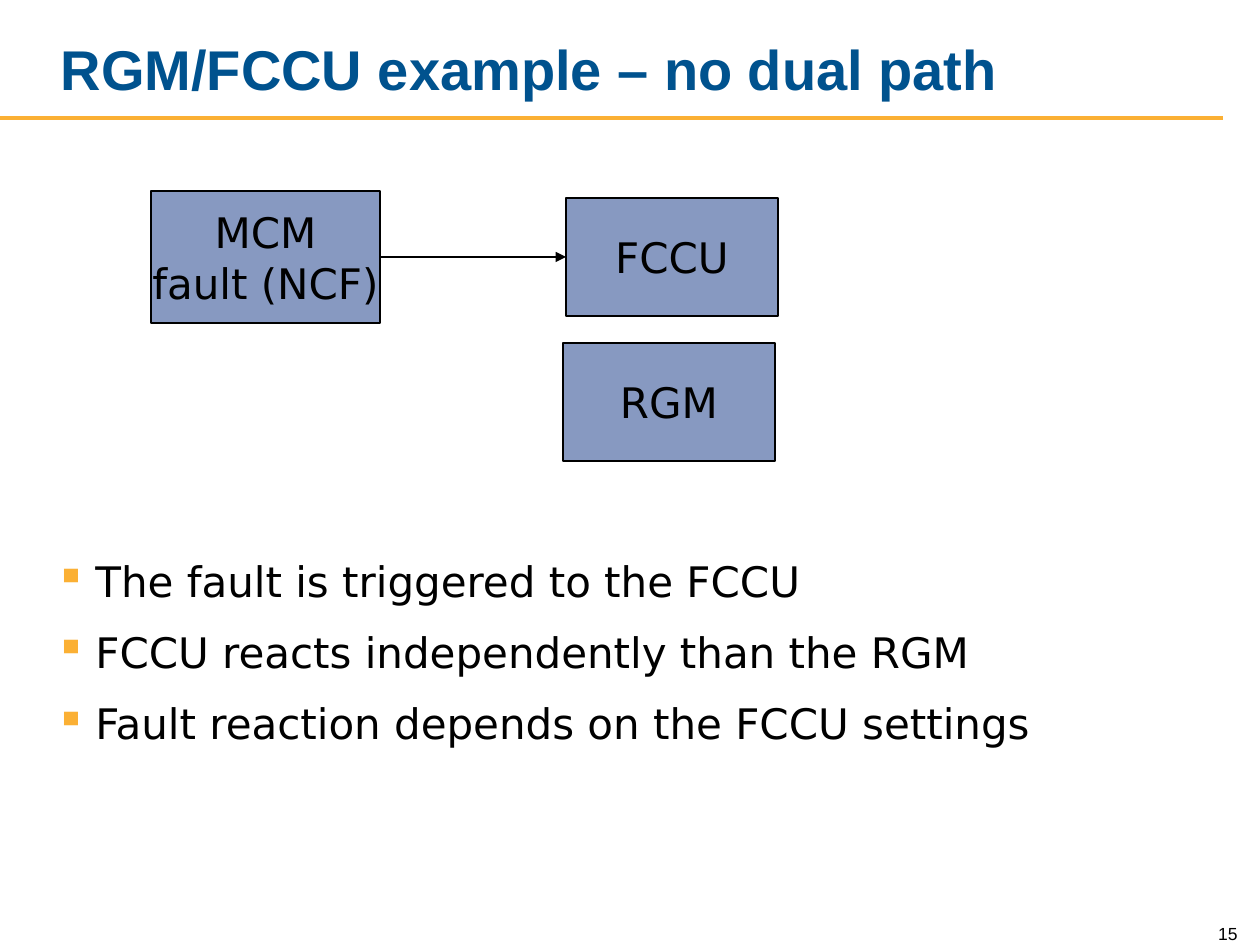
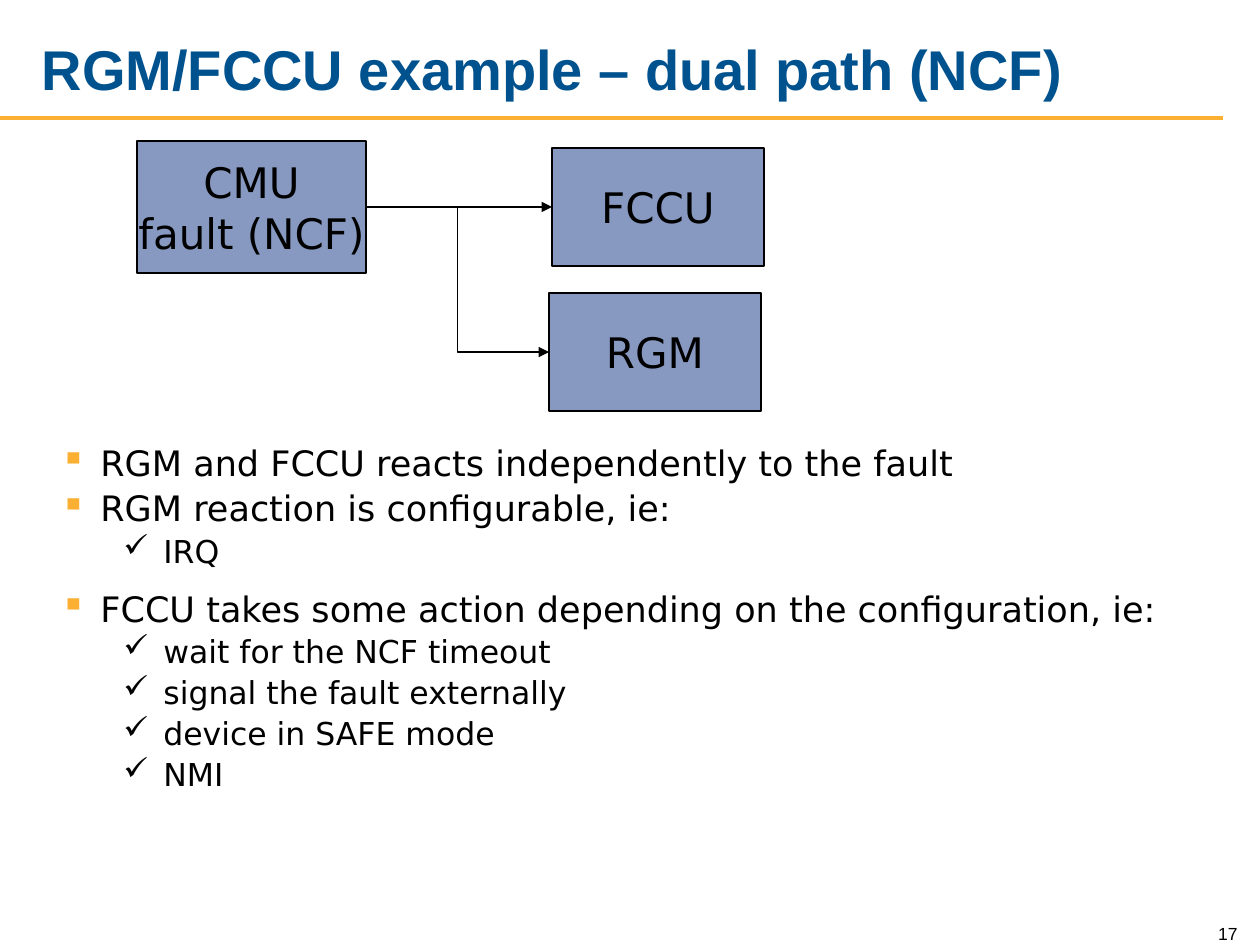
from lxml import etree
from pptx import Presentation
from pptx.dml.color import RGBColor
from pptx.enum.shapes import MSO_CONNECTOR, MSO_SHAPE
from pptx.enum.text import MSO_ANCHOR, MSO_AUTO_SIZE, PP_ALIGN
from pptx.oxml.ns import qn
from pptx.util import Emu, Pt

BLUE = RGBColor(0x00, 0x52, 0x8E)
ORANGE = RGBColor(0xFB, 0xB0, 0x34)
SLATE = RGBColor(0x87, 0x99, 0xC1)
BLACK = RGBColor(0x00, 0x00, 0x00)

STRAIGHT, ELBOW = MSO_CONNECTOR.STRAIGHT, MSO_CONNECTOR.ELBOW
RECTANGLE = MSO_SHAPE.RECTANGLE
LEFT, CENTER, RIGHT = PP_ALIGN.LEFT, PP_ALIGN.CENTER, PP_ALIGN.RIGHT
MIDDLE, BOTTOM = MSO_ANCHOR.MIDDLE, MSO_ANCHOR.BOTTOM
NO_FIT, GROW = MSO_AUTO_SIZE.NONE, MSO_AUTO_SIZE.SHAPE_TO_FIT_TEXT

HEADING_FONT, BODY_FONT = "Arial", "DejaVu Sans"
TITLE_ONLY = 5
LEFT_SIDE, RIGHT_SIDE = 1, 3
PX_PER_INCH = 126
SLIDE_WIDTH, SLIDE_HEIGHT = 1260, 945
BULLET_INDENT, LEVEL_INDENT = 40, 63


def px(length):
    return Emu(round(length * 914400 / PX_PER_INCH))


class SlideWriter:
    def __init__(self, deck):
        self.deck = deck
        self.page = None

    def start_page(self, title, title_left, title_width, number):
        self.page = self.deck.slides.add_slide(self.deck.slide_layouts[TITLE_ONLY])
        self.line(STRAIGHT, (0, 118), (1223, 118), ORANGE, 2.25)
        heading = self.page.shapes.title
        self.place(heading, title_left, 21, title_width, 95)
        heading.text_frame.text = title
        self.format_text(heading.text_frame, HEADING_FONT, 32, BLUE, LEFT, MIDDLE, bold=True)
        heading.text_frame.auto_size = NO_FIT
        number_box = self.page.shapes.add_textbox(px(1187), px(912), px(63), px(38))
        number_box.text_frame.text = str(number)
        number_box.text_frame.word_wrap = True
        self.format_text(number_box.text_frame, HEADING_FONT, 10, BLACK, RIGHT, BOTTOM)

    def place(self, shape, left, top, width, height):
        shape.left, shape.top = px(left), px(top)
        shape.width, shape.height = px(width), px(height)

    def format_text(self, frame, font, size, color, align, anchor, bold=False):
        frame.vertical_anchor = anchor
        for para in frame.paragraphs:
            para.alignment = align
            for span in para.runs:
                self.format_span(span, font, size, color, bold)

    def format_span(self, span, font, size, color, bold=False):
        span.font.name = font
        span.font.size = Pt(size)
        span.font.bold = bold
        span.font.color.rgb = color

    def block(self, text, left, top, width, height):
        box = self.page.shapes.add_shape(RECTANGLE, px(left), px(top), px(width), px(height))
        box.shadow.inherit = False
        box.fill.solid()
        box.fill.fore_color.rgb = SLATE
        box.line.color.rgb = BLACK
        box.line.width = Pt(0.75)
        box.text_frame.text = text
        box.text_frame.word_wrap = False
        self.format_text(box.text_frame, BODY_FONT, 24, BLACK, CENTER, MIDDLE)
        return box

    def line(self, kind, start, end, color, weight):
        connector = self.page.shapes.add_connector(kind, *map(px, start + end))
        connector.line.color.rgb = color
        connector.line.width = Pt(weight)
        etree.SubElement(connector._element.spPr, qn("a:effectLst"))
        return connector

    def arrow(self, kind, source, target):
        """Point from the right side of source to the left side of target."""
        connector = self.line(kind, (0, 0), (0, 0), BLACK, 0.75)
        connector.begin_connect(source, RIGHT_SIDE)
        connector.end_connect(target, LEFT_SIDE)
        outline = connector.line._get_or_add_ln()
        etree.SubElement(outline, qn("a:tailEnd"), type="triangle")

    def fault_diagram(self, fault, left, top, dual_path=False):
        source = self.block(fault, left, top, 229, 132)
        fccu = self.block("FCCU", left + 415, top + 7, 212, 118)
        rgm = self.block("RGM", left + 412, top + 152, 212, 118)
        self.arrow(STRAIGHT, source, fccu)
        if dual_path:
            self.arrow(ELBOW, source, rgm)

    def bullets(self, items, left, top, height):
        """Each item is text, level, size in points and space before in percent."""
        box = self.page.shapes.add_textbox(px(left), px(top), px(1177), px(height))
        frame = box.text_frame
        frame.word_wrap = True
        frame.auto_size = GROW
        frame.text = "\n".join(item[0] for item in items)
        for para, (_, level, size, space) in zip(frame.paragraphs, items):
            para.level = level
            self.format_span(para.runs[0], BODY_FONT, size, BLACK)
            self.bullet_mark(para, level, space)

    def bullet_mark(self, para, level, space):
        settings = para._p.get_or_add_pPr()
        settings.set("marL", str(px(BULLET_INDENT + LEVEL_INDENT * level)))
        settings.set("indent", str(-px(BULLET_INDENT)))
        before = etree.SubElement(settings, qn("a:spcBef"))
        etree.SubElement(before, qn("a:spcPct"), val=str(space * 1000))
        color = etree.SubElement(settings, qn("a:buClr"))
        etree.SubElement(color, qn("a:srgbClr"), val=str(BLACK if level else ORANGE))
        etree.SubElement(settings, qn("a:buChar"), char="✓" if level else "▪")


def main():
    deck = Presentation()
    deck.slide_width, deck.slide_height = px(SLIDE_WIDTH), px(SLIDE_HEIGHT)
    writer = SlideWriter(deck)

    writer.start_page("RGM/FCCU example – no dual path", 48, 1029, 15)
    writer.fault_diagram("MCM\nfault (NCF)", 151, 191)
    reactions = (
        "The fault is triggered to the FCCU",
        "FCCU reacts independently than the RGM",
        "Fault reaction depends on the FCCU settings",
    )
    writer.bullets([(text, 0, 24, 50) for text in reactions], 43, 549, 217)

    writer.start_page("RGM/FCCU example – dual path (NCF)", 29, 1048, 17)
    writer.fault_diagram("CMU\nfault (NCF)", 137, 141, dual_path=True)
    actions = (
        "wait for the NCF timeout",
        "signal the fault externally",
        "device in SAFE mode",
        "NMI",
    )
    writer.bullets(
        [
            ("RGM and FCCU reacts independently to the fault", 0, 20, 50),
            ("RGM reaction is configurable, ie:", 0, 20, 10),
            ("IRQ", 1, 18, 10),
            ("FCCU takes some action depending on the configuration, ie:", 0, 20, 50),
            *((text, 1, 18, 10) for text in actions),
        ],
        48, 435, 375,
    )

    deck.save("out.pptx")


if __name__ == "__main__":
    main()
